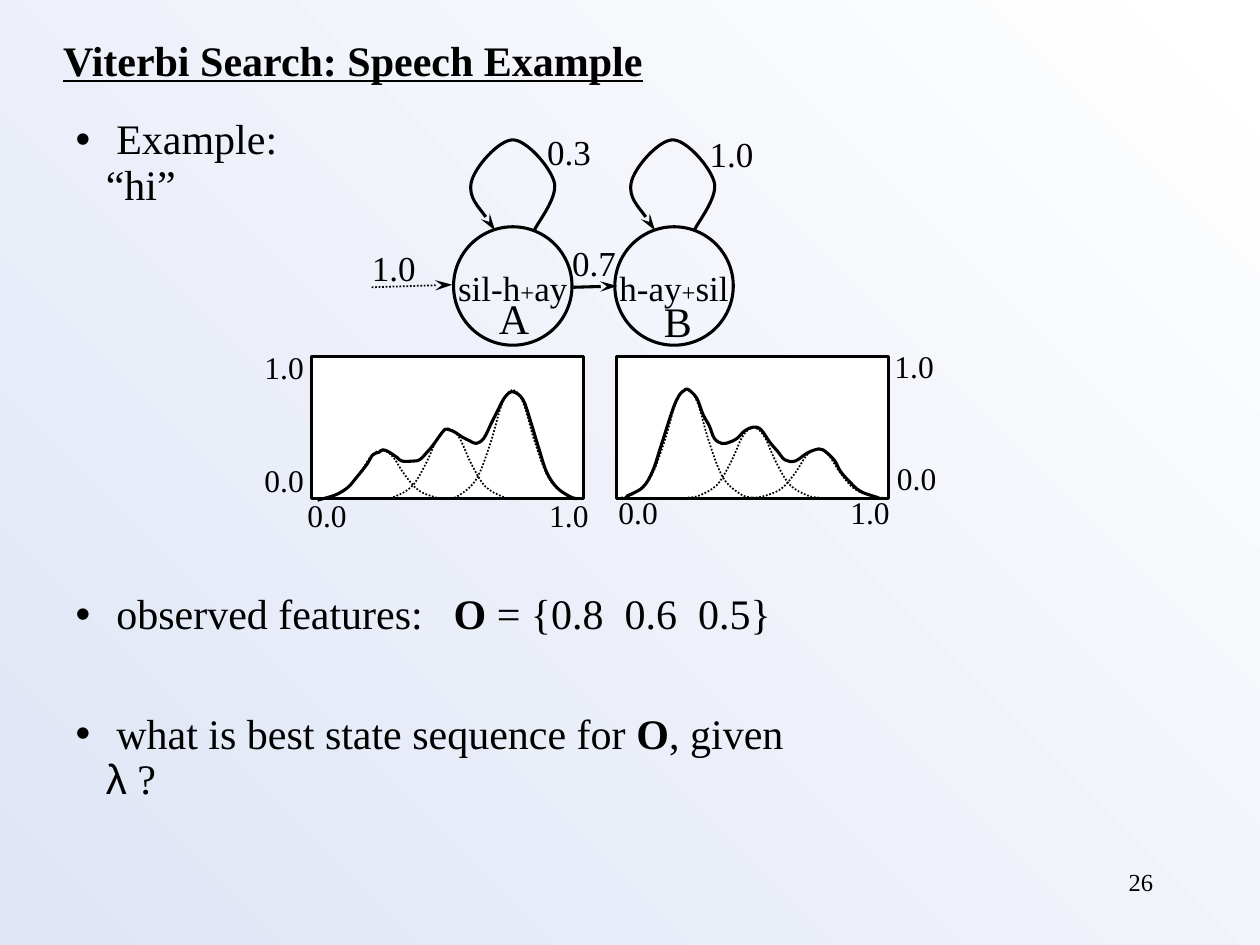
from lxml import etree
from pptx import Presentation
from pptx import util as u
from pptx.dml.color import RGBColor
from pptx.enum import dml, shapes, text
from pptx.oxml.ns import qn

SERIF, SANS = "Times New Roman", "Arial"
INK, WHITE, PALE_BLUE = "000000", "FFFFFF", "DFE5F5"
LINE_WIDTH, DOTTED_WIDTH = 1.75, 1
BELL_HALF_WIDTH = 0.52
BELL_RISE = [(0, 0), (0.09, 0.03), (0.23, 0.18), (0.34, 0.5), (0.42, 0.82),
             (0.47, 0.95), (0.51, 0.99), (BELL_HALF_WIDTH, 1)]

MIXTURE_A = [
    (2.52, 3.97), (2.66, 3.93), (2.76, 3.87), (2.83, 3.79), (2.91, 3.69), (2.96, 3.61),
    (3.01, 3.59), (3.04, 3.57), (3.09, 3.59), (3.15, 3.63), (3.19, 3.66), (3.28, 3.66),
    (3.33, 3.65), (3.39, 3.59), (3.44, 3.53), (3.49, 3.46), (3.53, 3.41), (3.56, 3.41),
    (3.61, 3.43), (3.67, 3.47), (3.73, 3.5), (3.78, 3.52), (3.84, 3.48), (3.9, 3.36),
    (3.96, 3.24), (4.01, 3.15), (4.07, 3.11), (4.15, 3.17), (4.21, 3.34), (4.28, 3.57),
    (4.34, 3.75), (4.42, 3.87), (4.52, 3.94), (4.58, 3.96)]
MIXTURE_B = [
    (4.97, 3.94), (5.1, 3.87), (5.18, 3.74), (5.24, 3.56), (5.34, 3.25), (5.39, 3.14),
    (5.43, 3.1), (5.46, 3.09), (5.53, 3.16), (5.58, 3.29), (5.63, 3.38), (5.67, 3.48),
    (5.73, 3.52), (5.79, 3.51), (5.85, 3.48), (5.91, 3.42), (5.98, 3.39), (6.04, 3.41),
    (6.11, 3.51), (6.17, 3.58), (6.23, 3.65), (6.31, 3.66), (6.4, 3.6), (6.47, 3.57),
    (6.53, 3.57), (6.62, 3.65), (6.67, 3.74), (6.74, 3.82), (6.83, 3.9), (6.97, 3.95)]


def color(hex_code):
    return RGBColor.from_string(hex_code)


def place(shape, left, top, width, height):
    shape.left, shape.top = u.Inches(left), u.Inches(top)
    shape.width, shape.height = u.Inches(width), u.Inches(height)


def style_line(shape, dotted=False, arrow=False):
    shape.line.color.rgb = color(INK)
    shape.line.width = u.Pt(DOTTED_WIDTH if dotted else LINE_WIDTH)
    if dotted:
        shape.line.dash_style = dml.MSO_LINE.ROUND_DOT
    if arrow:
        line = shape.line._get_or_add_ln()
        etree.SubElement(line, qn("a:tailEnd"), type="stealth", w="med", len="lg")


def style_font(font, size, bold=False):
    font.name, font.size, font.bold = SERIF, u.Pt(size), bold
    font.color.rgb = color(INK)


def set_frame(shape, wrap, anchor):
    frame = shape.text_frame
    frame.auto_size = text.MSO_AUTO_SIZE.NONE
    frame.word_wrap = wrap
    frame.vertical_anchor = anchor
    return frame.paragraphs[0]


def fill_title(title, words):
    place(title, 0.4, 0.22, 4.82, 0.5)
    para = set_frame(title, False, text.MSO_ANCHOR.TOP)
    para.text = words
    para.alignment = text.PP_ALIGN.LEFT
    style_font(para.font, 24, bold=True)
    para.font.underline = True


def fill_bullet(box, top, width, height, spans):
    """Each span is its words and a font setting: "", "bold" or a font name."""
    place(box, 0.5, top, width, height)
    para = set_frame(box, True, text.MSO_ANCHOR.TOP)
    para.line_spacing, para.space_before = 0.9, u.Pt(0)
    indent = u.Inches(0.24)
    props = para._p.get_or_add_pPr()
    props.set("marL", str(indent))
    props.set("indent", str(-indent))
    etree.SubElement(props, qn("a:buFont"), typeface=SANS)
    etree.SubElement(props, qn("a:buChar"), char="•")
    tabs = etree.SubElement(props, qn("a:tabLst"))
    etree.SubElement(tabs, qn("a:tab"), pos=str(u.Inches(3)), algn="l")
    style_font(para.font, 24)
    for words, setting in spans:
        span = para.add_run()
        span.text = words
        style_font(span.font, 24, bold=setting == "bold")
        if setting not in ("", "bold"):
            span.font.name = setting


def add_label(parent, words, left, top, width, height, size, spacing=0.9,
              align=text.PP_ALIGN.CENTER, anchor=text.MSO_ANCHOR.MIDDLE):
    box = parent.add_textbox(0, 0, 0, 0)
    place(box, left, top, width, height)
    para = set_frame(box, False, anchor)
    para.text = words
    para.alignment, para.line_spacing = align, spacing
    style_font(para.font, size)
    return para


def add_outline(parent, kind, left, top, width, height, fill=None):
    shape = parent.add_shape(kind, 0, 0, 0, 0)
    place(shape, left, top, width, height)
    shape.shadow.inherit = False
    if fill:
        shape.fill.solid()
        shape.fill.fore_color.rgb = color(fill)
    else:
        shape.fill.background()
    style_line(shape)


def bend(curve):
    """Turn the straight segments into Bezier curves through the same knots."""
    knots = [(int(point.get("x")), int(point.get("y")))
             for point in curve._element.iter(qn("a:pt"))]
    padded = [knots[0], *knots, knots[-1]]
    segments = list(curve._element.iter(qn("a:lnTo")))
    for segment, a, b, c, d in zip(segments, padded, padded[1:], padded[2:], padded[3:]):
        leave = [q + (r - p) / 6 for p, q, r in zip(a, b, c)]
        reach = [r - (s - q) / 6 for q, r, s in zip(b, c, d)]
        bezier = etree.Element(qn("a:cubicBezTo"))
        for x, y in (leave, reach, c):
            etree.SubElement(bezier, qn("a:pt"), x=str(round(x)), y=str(round(y)))
        segment.getparent().replace(segment, bezier)


def add_curve(parent, knots, **line_options):
    points = [(u.Inches(x), u.Inches(y)) for x, y in knots]
    builder = parent.build_freeform(*points[0])
    builder.add_line_segments(points[1:], close=False)
    curve = builder.convert_to_shape()
    bend(curve)
    curve.shadow.inherit = False
    curve.fill.background()
    style_line(curve, **line_options)


def add_arrow(parent, start, end, dotted=False):
    ends = [u.Inches(value) for value in (*start, *end)]
    arrow = parent.add_connector(shapes.MSO_CONNECTOR.STRAIGHT, *ends)
    style_line(arrow, dotted=dotted, arrow=True)
    etree.SubElement(arrow._element.spPr, qn("a:effectLst"))


def add_state(page, left, phones):
    group = page.shapes.add_group_shape().shapes
    add_outline(group, shapes.MSO_SHAPE.OVAL, left, 1.8, 0.94, 0.94)
    para = add_label(group, "", left - 0.06, 2.06, 1.06, 0.44, 20, spacing=1)
    for words, size in zip(phones, (20, 14, 20)):
        span = para.add_run()
        span.text = words
        style_font(span.font, size)


def add_self_loop(page, center):
    offsets = [(0.17, 1.83), (0.33, 1.45), (0, 1.11), (-0.33, 1.45), (-0.14, 1.83)]
    add_curve(page.shapes, [(center + dx, y) for dx, y in offsets], arrow=True)


def add_density_plot(page, left, base, peaks, mixture):
    """Draw the frame, one dotted bell per (center, height), and their solid sum."""
    group = page.shapes.add_group_shape().shapes
    add_outline(group, shapes.MSO_SHAPE.RECTANGLE, left, 2.83, 2.16, 1.13, WHITE)
    for center, height in peaks:
        for side in (-1, 1):
            add_curve(group, [(center + side * (BELL_HALF_WIDTH - dx), base - height * rise)
                              for dx, rise in BELL_RISE], dotted=True)
    add_curve(group, mixture)


def main():
    deck = Presentation()
    deck.slide_width, deck.slide_height = u.Inches(10), u.Inches(7.5)
    page = deck.slides.add_slide(deck.slide_layouts.get_by_name("Comparison"))
    fill = page.background.fill
    fill.gradient()
    fill.gradient_angle = 225
    for stop, shade in zip(fill.gradient_stops, (WHITE, PALE_BLUE)):
        stop.color.rgb = color(shade)

    title, example, features, question, spare = page.placeholders
    spare._element.getparent().remove(spare._element)
    fill_title(title, "Viterbi Search: Speech Example")
    fill_bullet(example, 0.89, 2.31, 0.83, [(" Example: “hi”", "")])
    fill_bullet(features, 4.66, 5.9, 0.46, [
        (" observed features:\t", ""), ("O", "bold"), (" = {0.8  0.6  0.5}", "")])
    fill_bullet(question, 5.61, 6.19, 0.83, [
        (" what is best state sequence for ", ""), ("O", "bold"), (", given ", ""),
        ("λ", SANS), (" ?", "")])

    add_state(page, 3.6, ("sil-h", "+", "ay"))
    add_state(page, 4.88, ("h-ay", "+", "sil"))
    add_arrow(page.shapes, (4.55, 2.28), (4.9, 2.27))
    add_arrow(page.shapes, (2.95, 2.28), (3.59, 2.26), dotted=True)
    for center in (4.07, 5.34):
        add_self_loop(page, center)
    for words, left, top in (("0.3", 4.24, 0.98), ("1.0", 5.53, 1), ("0.7", 4.44, 1.86),
                             ("1.0", 2.85, 1.9)):
        add_label(page.shapes, words, left, top, 0.55, 0.44, 20, spacing=1)

    add_density_plot(page, 2.47, 3.96, [(3.03, 0.39), (3.56, 0.56), (4.07, 0.87)], MIXTURE_A)
    add_density_plot(page, 4.89, 3.95, [(5.45, 0.87), (5.98, 0.56), (6.49, 0.39)], MIXTURE_B)
    for words, left, top in (("0.0", 2.34, 3.92), ("1.0", 4.26, 3.92), ("1.0", 6.65, 3.9),
                             ("0.0", 4.81, 3.9), ("1.0", 7, 2.74), ("0.0", 7.02, 3.63),
                             ("1.0", 2, 2.75), ("0.0", 2, 3.64)):
        add_label(page.shapes, words, left, top, 0.51, 0.37, 18)
    add_label(page.shapes, "A", 3.86, 2.32, 0.44, 0.46, 24)
    add_label(page.shapes, "B", 5.17, 2.34, 0.42, 0.46, 24)
    add_label(page.shapes, "26", 7.17, 6.83, 2.08, 0.5, 14, spacing=1,
              align=text.PP_ALIGN.RIGHT, anchor=text.MSO_ANCHOR.TOP)
    deck.save("out.pptx")


if __name__ == "__main__":
    main()
